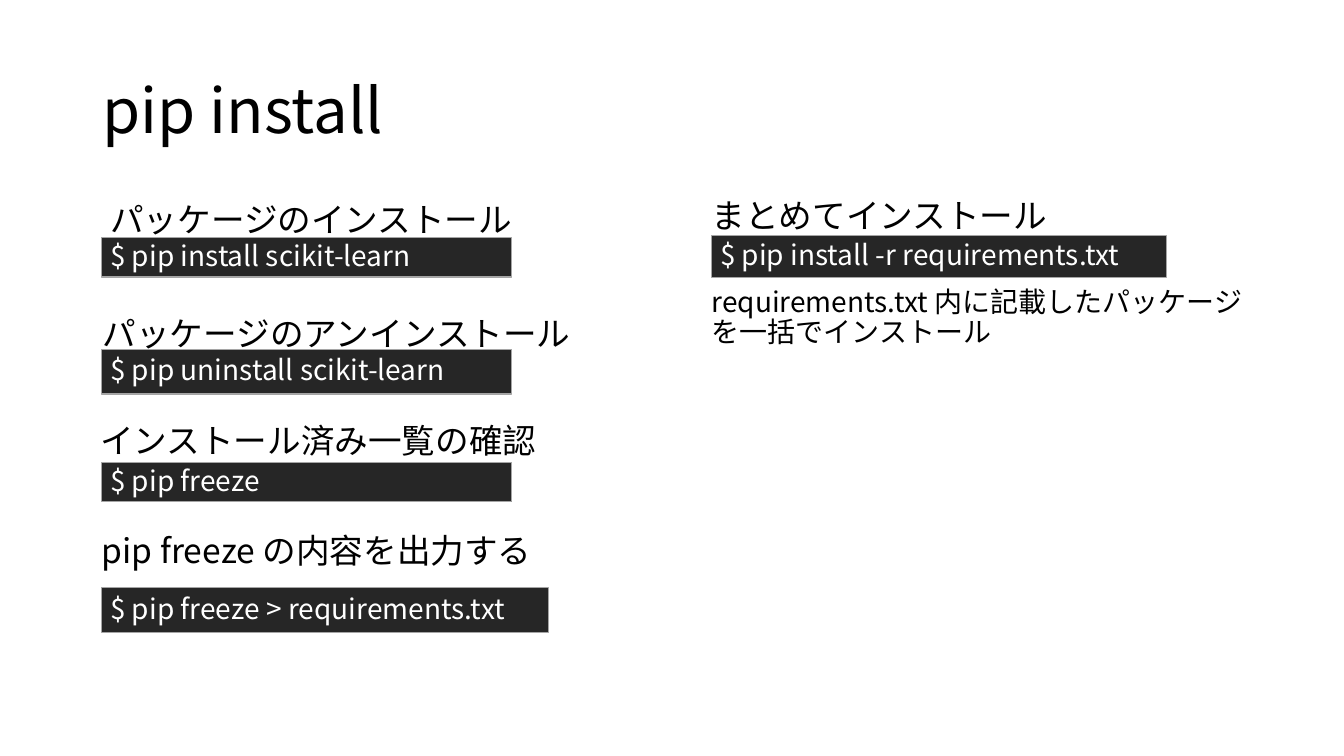
from dataclasses import dataclass

from lxml.etree import SubElement
from pptx import Presentation
from pptx.dml.color import RGBColor as Color
from pptx.enum.shapes import MSO_SHAPE as Shape
from pptx.enum.text import MSO_ANCHOR as Anchor, MSO_AUTO_SIZE as Fit, PP_ALIGN as Align
from pptx.oxml.ns import qn
from pptx.util import Pt


@dataclass(frozen=True)
class Theme:
    font: str = "Noto Sans CJK JP"
    ink: Color = Color(0, 0, 0)
    paper: Color = Color(255, 255, 255)
    shell: Color = Color(0x26, 0x26, 0x26)
    edge: Color = Color(0xA5, 0xA5, 0xA5)
    title: int = 44
    head: int = 24
    code: int = 20


THEME = Theme()
LEFT = 72.7
RIGHT = 508.3


def write(frame, text, size, color=THEME.ink, pad=0, anchor=Anchor.TOP, fit=Fit.NONE):
    frame.word_wrap = True
    frame.auto_size = fit
    frame.vertical_anchor = anchor
    frame.margin_left = frame.margin_right = Pt(pad)
    frame.margin_top = frame.margin_bottom = Pt(pad)
    para = frame.paragraphs[0]
    para.alignment = Align.LEFT
    para.line_spacing = 0.9
    para.space_before = Pt(0)
    run = para.add_run()
    run.text = text
    font = run.font
    font.size = Pt(size)
    font.name = THEME.font
    font.color.rgb = color
    SubElement(run._r.get_or_add_rPr(), qn("a:ea"), typeface=THEME.font)


def add_title(slide, text):
    title = slide.shapes.title
    title.left, title.top = Pt(66), Pt(28.75)
    title.width, title.height = Pt(828), Pt(104.4)
    write(title.text_frame, text, THEME.title, pad=7.2, anchor=Anchor.MIDDLE)


def add_label(slide, text, left, top, width=378, height=26.6, size=THEME.head):
    box = slide.shapes.add_textbox(Pt(left), Pt(top), Pt(width), Pt(height))
    write(box.text_frame, text, size, fit=Fit.SHAPE_TO_FIT_TEXT)


def add_code(slide, text, left, top, width, height):
    bar = slide.shapes.add_shape(Shape.RECTANGLE, Pt(left), Pt(top), Pt(width), Pt(height))
    bar.shadow.inherit = False
    bar.fill.solid()
    bar.fill.fore_color.rgb = THEME.shell
    bar.line.color.rgb = THEME.edge
    bar.line.width = Pt(0.75)
    write(bar.text_frame, text, THEME.code, THEME.paper, pad=6, anchor=Anchor.MIDDLE)


def main():
    deck = Presentation()
    deck.slide_width, deck.slide_height = Pt(960), Pt(540)
    slide = deck.slides.add_slide(deck.slide_layouts[5])
    add_title(slide, "pip install")

    codes = [
        ("$ pip install scikit-learn", LEFT, 169.9, 293, 28),
        ("$ pip uninstall scikit-learn", LEFT, 249.8, 293, 31.7),
        ("$ pip freeze", LEFT, 330.5, 293, 28),
        ("$ pip freeze > requirements.txt", LEFT, 420, 319, 31.7),
        ("$ pip install -r requirements.txt", RIGHT, 168, 324.7, 30.2),
    ]
    for code in codes:
        add_code(slide, *code)

    labels = [
        ("パッケージのインストール", 78.8, 145.4),
        ("パッケージのアンインストール", 73.4, 226.8),
        ("インストール済み一覧の確認", 71.6, 303.1),
        ("pip freeze の内容を出力する", LEFT, 381.6),
        ("まとめてインストール", RIGHT, 142.6),
    ]
    for label in labels:
        add_label(slide, *label)

    add_label(
        slide,
        "requirements.txt 内に記載したパッケージを一括でインストール",
        RIGHT, 205.9, width=393.8, height=43.9, size=THEME.code,
    )
    deck.save("out.pptx")


if __name__ == "__main__":
    main()
